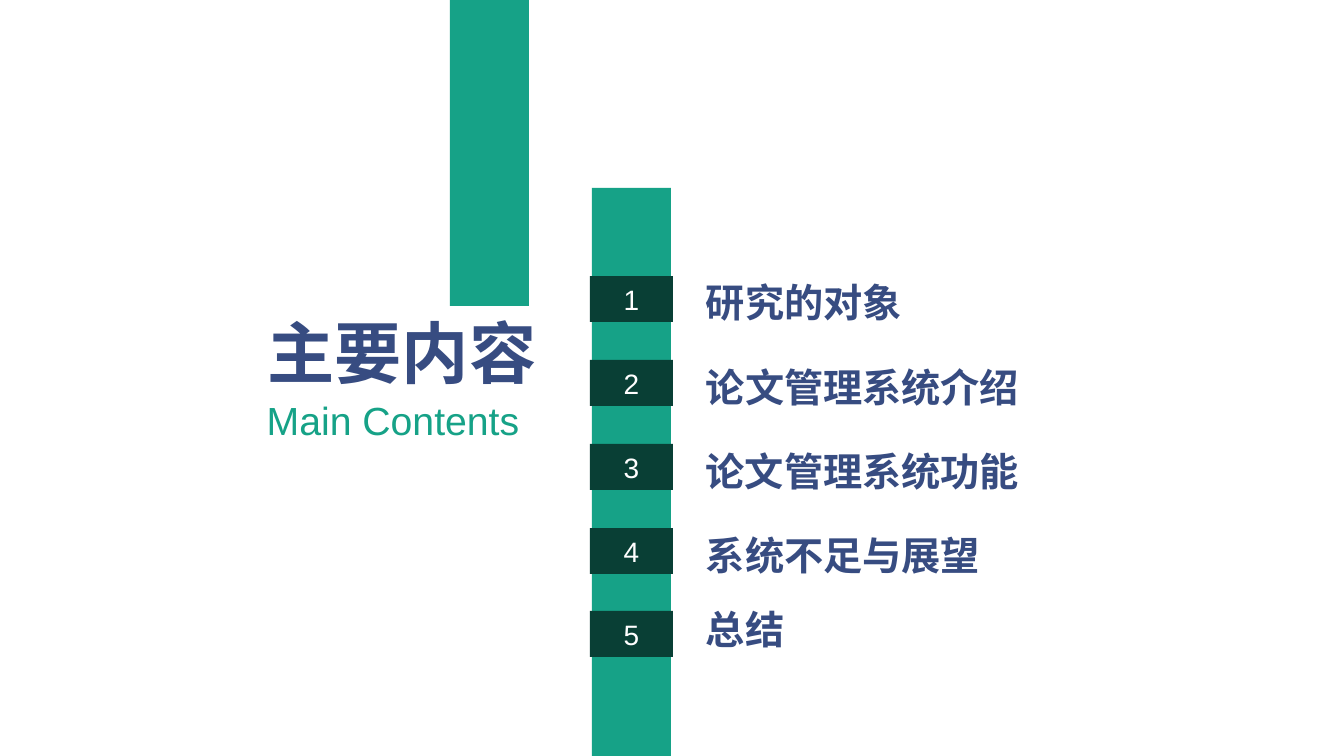
from dataclasses import dataclass

import lxml.etree
import pptx
import pptx.dml.color
import pptx.enum.shapes
import pptx.enum.text
import pptx.oxml.ns
import pptx.shapes.autoshape
import pptx.slide
import pptx.text.text
import pptx.util

EMU_PER_PX = 914400 / 100.8
GREEN, DARK_GREEN, NAVY, WHITE = "16A287", "093F35", "374C81", "FFFFFF"
LATIN_FONT, CHINESE_FONT = "Arial", "Noto Sans CJK SC"
ALIGN = pptx.enum.text.PP_ALIGN


@dataclass(frozen=True)
class Box:
    left: int
    top: int
    width: int
    height: int

    def emu(self) -> list[int]:
        return [px(n) for n in (self.left, self.top, self.width, self.height)]


@dataclass(frozen=True)
class TextStyle:
    size: int
    font: str
    color: str
    bold: bool
    align: pptx.enum.text.PP_ALIGN


@dataclass(frozen=True)
class Chapter:
    title: str
    badge_top: int
    title_top: int
    title_width: int


TITLE = TextStyle(48, CHINESE_FONT, NAVY, True, ALIGN.CENTER)
SUBTITLE = TextStyle(28, LATIN_FONT, GREEN, False, ALIGN.RIGHT)
BADGE = TextStyle(20, LATIN_FONT, WHITE, False, ALIGN.CENTER)
CHAPTER_TITLE = TextStyle(28, CHINESE_FONT, NAVY, True, ALIGN.LEFT)

BARS = [Box(450, 0, 79, 306), Box(592, 188, 79, 568)]
CHAPTERS = [
    Chapter("研究的对象", 276, 273, 330),
    Chapter("论文管理系统介绍", 360, 358, 373),
    Chapter("论文管理系统功能", 444, 442, 412),
    Chapter("系统不足与展望", 528, 526, 330),
    Chapter("总结", 611, 600, 330),
]


def px(length: int) -> int:
    return round(length * EMU_PER_PX)


def rgb(color: str) -> pptx.dml.color.RGBColor:
    return pptx.dml.color.RGBColor.from_string(color)


def write(frame: pptx.text.text.TextFrame, text: str, style: TextStyle) -> None:
    frame.word_wrap = True
    paragraph = frame.paragraphs[0]
    paragraph.text = text
    paragraph.alignment = style.align
    run = paragraph.runs[0]
    run.font.size = pptx.util.Pt(style.size)
    run.font.name = style.font
    run.font.bold = style.bold
    run.font.color.rgb = rgb(style.color)
    east_asian = lxml.etree.Element(pptx.oxml.ns.qn("a:ea"), typeface=style.font)
    properties = run.font._element
    properties.find(pptx.oxml.ns.qn("a:latin")).addnext(east_asian)


def add_block(
    slide: pptx.slide.Slide, box: Box, color: str
) -> pptx.shapes.autoshape.Shape:
    rectangle = pptx.enum.shapes.MSO_SHAPE.RECTANGLE
    block = slide.shapes.add_shape(rectangle, *box.emu())
    block.shadow.inherit = False
    block.fill.solid()
    block.fill.fore_color.rgb = rgb(color)
    block.line.fill.background()
    return block


def add_badge(slide: pptx.slide.Slide, number: int, top: int) -> None:
    badge = add_block(slide, Box(590, top, 83, 46), DARK_GREEN)
    badge.text_frame.vertical_anchor = pptx.enum.text.MSO_ANCHOR.MIDDLE
    write(badge.text_frame, str(number), BADGE)


def add_text(slide: pptx.slide.Slide, box: Box, text: str, style: TextStyle) -> None:
    frame = slide.shapes.add_textbox(*box.emu()).text_frame
    write(frame, text, style)
    frame.auto_size = pptx.enum.text.MSO_AUTO_SIZE.SHAPE_TO_FIT_TEXT


def main() -> None:
    deck = pptx.Presentation()
    deck.slide_width, deck.slide_height = px(1344), px(756)
    slide = deck.slides.add_slide(deck.slide_layouts[6])
    slide.background.fill.solid()
    slide.background.fill.fore_color.rgb = rgb(WHITE)

    for bar in BARS:
        add_block(slide, bar, GREEN)
    add_text(slide, Box(246, 306, 312, 92), "主要内容", TITLE)
    add_text(slide, Box(186, 391, 343, 57), "Main Contents", SUBTITLE)

    for number, chapter in enumerate(CHAPTERS, start=1):
        add_badge(slide, number, chapter.badge_top)
        title_box = Box(696, chapter.title_top, chapter.title_width, 57)
        add_text(slide, title_box, chapter.title, CHAPTER_TITLE)

    deck.save("out.pptx")


if __name__ == "__main__":
    main()
